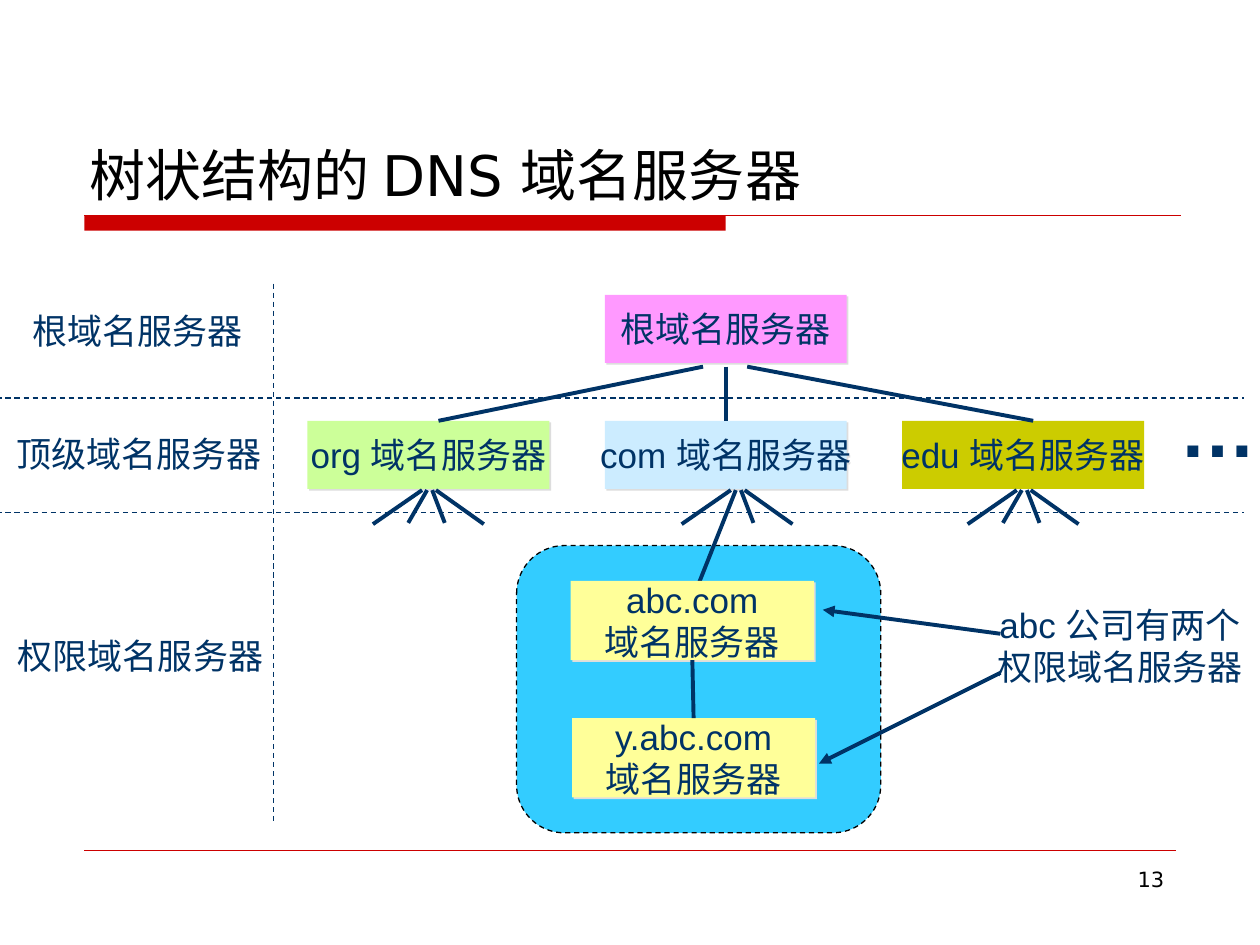
from dataclasses import dataclass
from typing import Any

from lxml import etree
from pptx import Presentation
from pptx.dml.color import RGBColor
from pptx.enum.dml import MSO_LINE
from pptx.enum.shapes import MSO_CONNECTOR, MSO_SHAPE
from pptx.enum.text import MSO_ANCHOR, MSO_AUTO_SIZE, PP_ALIGN
from pptx.oxml.ns import qn
from pptx.util import Inches, Pt

RECT, ROUND = MSO_SHAPE.RECTANGLE, MSO_SHAPE.ROUNDED_RECTANGLE
STRAIGHT, DASH = MSO_CONNECTOR.STRAIGHT, MSO_LINE.DASH
LEFT, MID, RIGHT = PP_ALIGN.LEFT, PP_ALIGN.CENTER, PP_ALIGN.RIGHT
TOP, CENTRE, BASE = MSO_ANCHOR.TOP, MSO_ANCHOR.MIDDLE, MSO_ANCHOR.BOTTOM
FIXED, GROW = MSO_AUTO_SIZE.NONE, MSO_AUTO_SIZE.SHAPE_TO_FIT_TEXT
SANS, ARIAL = "DejaVu Sans", "Arial"
CELL = Inches(0.1)
HUES = {
    "red": "CC0000", "black": "000000", "navy": "003366", "sky": "33CCFF",
    "pink": "FF99FF", "lime": "CCFF99", "ice": "CCECFF", "olive": "CCCC00",
    "cream": "FFFF99", "grey": "DDDDDD",
}


@dataclass
class Area:
    """Columns and rows of a grid of 100 by 75 cells."""
    col: float
    row: float
    wide: float
    high: float

    def spot(self) -> list[int]:
        """Give left, top, width and height as lengths."""
        return [round(n * CELL) for n in (self.col, self.row, self.wide, self.high)]


@dataclass
class Style:
    """Look of a block of text."""
    size: float = 20
    font: str = ARIAL
    hue: str = "navy"
    bold: bool = False
    align: Any = MID


@dataclass
class Card:
    """Filled box that stands for a server."""
    area: Area
    hue: str
    lines: list[str]
    shade: bool = True


@dataclass
class Note:
    """Free text on the slide."""
    area: Area
    lines: list[str]
    style: Style
    fit: Any = GROW


def tint(name: str) -> RGBColor:
    """Look up a colour."""
    return RGBColor.from_string(HUES[name])


def write(frame: Any, lines: list[str], style: Style) -> None:
    """Fill a text frame, one paragraph a line."""
    for i, line in enumerate(lines):
        para = frame.add_paragraph() if i else frame.paragraphs[0]
        para.alignment = style.align
        run = para.add_run()
        run.text = line
        run.font.size, run.font.name = Pt(style.size), style.font
        run.font.bold = style.bold
        run.font.color.rgb = tint(style.hue)


def block(slide: Any, kind: Any, area: Area, hue: str) -> Any:
    """Add a plain filled shape."""
    shape = slide.shapes.add_shape(kind, *area.spot())
    shape.shadow.inherit = False
    shape.fill.solid()
    shape.fill.fore_color.rgb = tint(hue)
    shape.line.fill.background()
    return shape


def cast(shape: Any) -> None:
    """Give a shape a small hard shadow."""
    glow = shape._element.spPr.find(qn("a:effectLst"))
    drop = etree.SubElement(glow, qn("a:outerShdw"), dist=str(Pt(1.4)), dir="2700000", algn="ctr", rotWithShape="0")
    etree.SubElement(drop, qn("a:srgbClr"), val=HUES["grey"])


def card(slide: Any, item: Card) -> Any:
    """Draw a server box."""
    shape = block(slide, RECT, item.area, item.hue)
    if item.shade:
        cast(shape)
    frame = shape.text_frame
    frame.word_wrap, frame.auto_size = False, FIXED
    frame.vertical_anchor = CENTRE
    write(frame, item.lines, Style())
    return shape


def note(slide: Any, item: Note) -> None:
    """Draw free text."""
    frame = slide.shapes.add_textbox(*item.area.spot()).text_frame
    frame.word_wrap, frame.auto_size = item.fit == FIXED, item.fit
    frame.vertical_anchor = TOP
    write(frame, item.lines, item.style)


def link(slide: Any, ends: tuple, hue: str = "navy", width: float = 2.25,
         dash: bool = False, arrow: bool = False) -> Any:
    """Draw a straight line between two grid points."""
    line = slide.shapes.add_connector(STRAIGHT, *(round(n * CELL) for n in ends))
    line.line.color.rgb = tint(hue)
    line.line.width = Pt(width)
    if dash:
        line.line.dash_style = DASH
    if arrow:
        etree.SubElement(line.line._get_or_add_ln(), qn("a:tailEnd"), type="triangle")
    etree.SubElement(line._element.spPr, qn("a:effectLst"))
    return line


def fan(slide: Any, hub: float, long: bool = False) -> None:
    """Spread four branches below a server, the last one long if asked."""
    last = (-2.9, 46.2) if long else (-1.5, 41.5)
    legs = [(0.7, 4.5, 41.6), (0.4, 1.4, 41.5), (-0.4, -4.3, 41.6), (0, *last)]
    for start, end, foot in legs:
        link(slide, (hub + start, 38.9, hub + end, foot))


def main() -> None:
    """Build the slide of the tree of name servers."""
    deck = Presentation()
    deck.slide_width, deck.slide_height = 100 * CELL, 75 * CELL
    slide = deck.slides.add_slide(deck.slide_layouts[5])

    title = slide.shapes.title
    title.left, title.top, title.width, title.height = Area(5.5, 9.7, 59.7, 7.3).spot()
    frame = title.text_frame
    frame.word_wrap, frame.auto_size = True, FIXED
    frame.vertical_anchor = BASE
    write(frame, ["树状结构的 DNS 域名服务器"], Style(32, SANS, "black"))

    block(slide, RECT, Area(6.7, 17.1, 50.9, 1.2), "red")
    link(slide, (6.7, 17.1, 93.7, 17.1), "red", 0.75)
    link(slide, (6.7, 67.5, 93.3, 67.5), "red", 0.25)

    zone = block(slide, ROUND, Area(41, 43.3, 28.9, 22.8), "sky")
    zone.line.color.rgb = tint("black")
    zone.line.width, zone.line.dash_style = Pt(0.75), DASH

    for ends in [(-1, 31.6, 98.7, 31.6), (-1, 40.7, 98.7, 40.7), (21.7, 22.5, 21.7, 65.2)]:
        link(slide, ends, width=0.75, dash=True)

    card(slide, Card(Area(48, 23.4, 19.2, 5.4), "pink", ["根域名服务器"]))
    tops = {}
    for i, (name, hue) in enumerate([("org", "lime"), ("com", "ice"), ("edu", "olive")]):
        area = Area(24.4 + 23.6 * i, 33.4, 19.2, 5.4)
        tops[name] = card(slide, Card(area, hue, [f"{name} 域名服务器"], name != "edu"))
        fan(slide, area.col + (10.4 if name == "com" else 9.5), name == "com")

    link(slide, (55.8, 29.1, 34.8, 33.4))
    link(slide, (57.6, 29.1, 57.6, 33.4)).end_connect(tops["com"], 0)
    link(slide, (59.3, 29.1, 82, 33.4))

    head, sub = [
        card(slide, Card(Area(col, row, 19.3, 6.3), "cream", [name, "域名服务器"]))
        for col, row, name in [(45.3, 46.1, "abc.com"), (45.4, 57, "y.abc.com")]
    ]
    stem = link(slide, (55, 52.4, 55, 57))
    stem.begin_connect(head, 2)
    stem.end_connect(sub, 0)
    for ends in [(79.4, 50.3, 65.3, 48.4), (79.4, 53.4, 65, 60.6)]:
        link(slide, ends, arrow=True)

    plain = Style()
    for item in [
        Note(Area(1.6, 24.1, 18.7, 4.4), ["根域名服务器"], plain),
        Note(Area(0.3, 33.8, 21.5, 4.4), ["顶级域名服务器"], plain),
        Note(Area(0.4, 49.9, 21.5, 4.4), ["权限域名服务器"], plain),
        Note(Area(78, 47.4, 21.8, 7.7), ["abc 公司有两个", "权限域名服务器"], plain),
        Note(Area(92.6, 29.7, 8.1, 8.4), ["…"], Style(44, bold=True, align=LEFT)),
        Note(Area(71.7, 68.3, 21.7, 5.2), ["13"], Style(12, SANS, "black", align=RIGHT), FIXED),
    ]:
        note(slide, item)

    deck.save("out.pptx")


if __name__ == "__main__":
    main()
